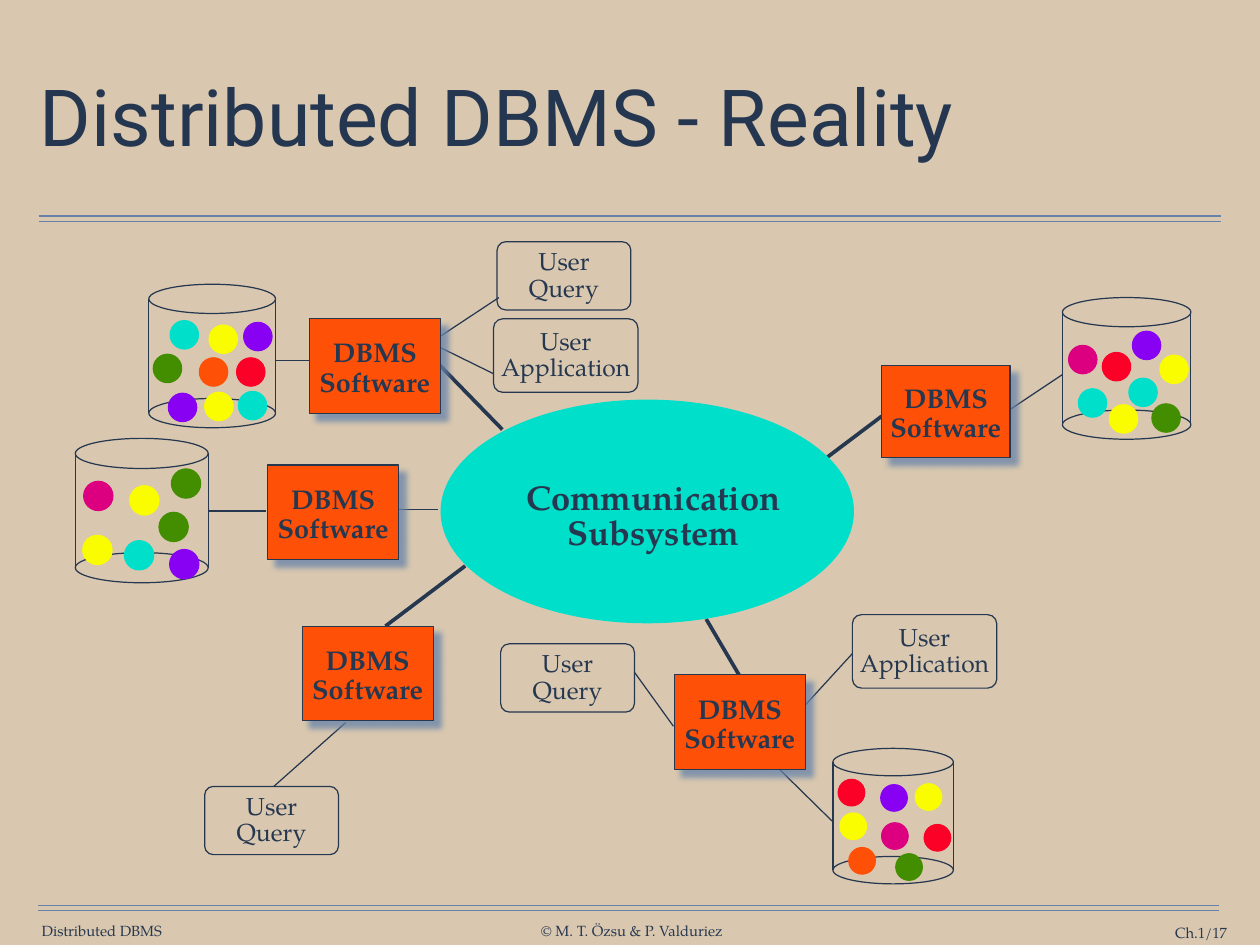
from dataclasses import dataclass

from lxml.etree import SubElement
from pptx import Presentation
from pptx.dml.color import RGBColor as RGB
from pptx.enum.shapes import MSO_CONNECTOR as CONN, MSO_SHAPE as SHAPE
from pptx.enum.text import MSO_ANCHOR as ANCHOR, PP_ALIGN as ALIGN
from pptx.oxml.ns import qn
from pptx.util import Inches, Pt


@dataclass(frozen=True)
class Theme:
    """Colours, fonts and type sizes of the slide."""
    paper: str = "D9C8AF"
    ink: str = "263750"
    title: str = "253750"
    rule: str = "6682AA"
    teal: str = "00DFCA"
    orange: str = "FF5008"
    yellow: str = "FAFD00"
    green: str = "438E00"
    pink: str = "DC0081"
    purple: str = "8901F3"
    red: str = "FC0128"
    head_font: str = "Roboto"
    body_font: str = "TeX Gyre Pagella"
    title_size: int = 64
    hub_size: int = 28
    dbms_size: int = 22
    user_size: int = 20
    foot_size: int = 12


def write(tf, text, *, size, color, font, bold=False, align=ALIGN.CENTER,
          spacing=0.9, anchor=ANCHOR.MIDDLE, wrap=False, insets=(0, 0, 0, 0)):
    """Fill a text frame, one paragraph for each line of text."""
    tf.word_wrap = wrap
    tf.vertical_anchor = anchor
    tf.margin_left, tf.margin_top, tf.margin_right, tf.margin_bottom = map(Inches, insets)
    for i, line in enumerate(text.split("\n")):
        p = tf.add_paragraph() if i else tf.paragraphs[0]
        p.alignment = align
        p.line_spacing = spacing
        r = p.add_run()
        r.text = line
        r.font.size = Pt(size)
        r.font.name = font
        r.font.bold = bold
        r.font.color.rgb = RGB.from_string(color)


class Canvas:
    """Draws on one slide, placing things on a grid of 1422 columns by 1067 rows."""
    COLS, ROWS = 1422, 1067

    def __init__(self, prs, theme):
        """Add a title-only slide with the theme's background."""
        self.t = theme
        self.col = prs.slide_width / self.COLS
        self.row = prs.slide_height / self.ROWS
        self.s = prs.slides.add_slide(prs.slide_layouts[5])
        fill = self.s.background.fill
        fill.solid()
        fill.fore_color.rgb = RGB.from_string(theme.paper)

    def at(self, *lengths):
        """Turn alternating columns and rows into slide lengths."""
        return [round(n * (self.row if i % 2 else self.col)) for i, n in enumerate(lengths)]

    def title(self, text, box):
        """Move and format the title placeholder."""
        sp = self.s.shapes.title
        sp.left, sp.top, sp.width, sp.height = self.at(*box)
        write(sp.text_frame, text, size=self.t.title_size, color=self.t.title,
              font=self.t.head_font, align=ALIGN.LEFT, wrap=True, insets=(0.06,) * 4)

    def line(self, x1, y1, x2, y2, color=None, width=1):
        """Draw a straight line."""
        c = self.s.shapes.add_connector(CONN.STRAIGHT, *self.at(x1, y1, x2, y2))
        c.line.color.rgb = RGB.from_string(color or self.t.ink)
        c.line.width = Pt(width)
        SubElement(c._element.spPr, qn("a:effectLst"))

    def double_rule(self, x, y, w):
        """Draw two thin rules close together."""
        for dy in (0, 6):
            self.line(x, y + dy, x + w, y + dy, self.t.rule)

    def shape(self, kind, box, fill=None, line=None, width=1):
        """Add a preset shape without a shadow."""
        sp = self.s.shapes.add_shape(kind, *self.at(*box))
        sp.shadow.inherit = False
        if fill:
            sp.fill.solid()
            sp.fill.fore_color.rgb = RGB.from_string(fill)
        else:
            sp.fill.background()
        sp.line.color.rgb = RGB.from_string(line or self.t.ink)
        sp.line.width = Pt(width)
        return sp

    def footer(self, text, box, align):
        """Add a small footer text."""
        sp = self.s.shapes.add_textbox(*self.at(*box))
        write(sp.text_frame, text, size=self.t.foot_size, color=self.t.ink,
              font=self.t.body_font, align=align, spacing=1)

    def hub(self, text, box):
        """Draw the central ellipse."""
        sp = self.shape(SHAPE.OVAL, box, self.t.teal, self.t.teal, 4)
        write(sp.text_frame, text, size=self.t.hub_size, color=self.t.ink, bold=True,
              font=self.t.body_font, spacing=0.85, insets=(0.14, 0.13, 0, 0))

    def dbms(self, x, y, w=148, h=107):
        """Draw a DBMS box with a soft shadow."""
        sp = self.shape(SHAPE.RECTANGLE, (x, y, w, h), self.t.orange)
        effects = sp._element.spPr.find(qn("a:effectLst"))
        shadow = SubElement(effects, qn("a:outerShdw"), blurRad=str(Pt(5)),
                            dist=str(Pt(8.5)), dir="2700000", algn="ctr", rotWithShape="0")
        color = SubElement(shadow, qn("a:srgbClr"), val=self.t.rule)
        SubElement(color, qn("a:alpha"), val="75000")
        write(sp.text_frame, "DBMS\nSoftware", size=self.t.dbms_size, color=self.t.ink,
              font=self.t.body_font, bold=True, insets=(0, 0.06, 0, 0))

    def user(self, role, x, y):
        """Draw a rounded user box sized for its role."""
        size = (163, 83) if role == "Application" else (151, 77)
        sp = self.shape(SHAPE.ROUNDED_RECTANGLE, (x, y, *size))
        sp.adjustments[0] = 0.125
        write(sp.text_frame, f"User\n{role}", size=self.t.user_size, color=self.t.ink,
              font=self.t.body_font)

    def database(self, box, rim, dots):
        """Draw an open cylinder and the data dots centred inside it."""
        x, y, w, h = box
        for top in (y, y + h - rim):
            self.shape(SHAPE.OVAL, (x, top, w, rim))
        for side in (x, x + w):
            self.line(side, y + rim / 2, side, y + h - rim / 2)
        d = rim - 1
        for color, centres in dots.items():
            for cx, cy in centres:
                self.shape(SHAPE.OVAL, (x + cx - d / 2, y + cy - d / 2, d, d), color, color)


def main():
    """Build the slide and save it."""
    prs = Presentation()
    prs.slide_width, prs.slide_height = Inches(14.22), Inches(10.67)
    t = Theme()
    c = Canvas(prs, t)

    c.double_rule(44, 244, 1334)
    c.double_rule(43, 1022, 1333)
    c.footer("Distributed DBMS", (47, 1041, 138, 20), ALIGN.LEFT)
    c.footer("© M. T. Özsu & P. Valduriez", (609, 1041, 208, 20), ALIGN.CENTER)
    c.footer("Ch.1/17", (1231, 1043, 154, 20), ALIGN.RIGHT)
    c.title("Distributed DBMS - Reality", (39, 49, 1344, 176))

    trunks = [(491, 407, 567, 485), (934, 516, 995, 470),
              (797, 699, 837, 767), (435, 707, 525, 639)]
    for ends in trunks:
        c.line(*ends, width=3)
    c.hub("Communication\nSubsystem", (500, 454, 461, 247))

    links = [(494, 575, 446, 575), (300, 577, 235, 577), (312, 407, 349, 407),
             (496, 392, 557, 422), (498, 379, 563, 336), (877, 866, 939, 927),
             (962, 738, 908, 797), (716, 759, 760, 820), (390, 816, 309, 888),
             (1136, 465, 1199, 423)]
    for ends in links:
        c.line(*ends)

    c.database((85, 495, 150, 163), 34, {
        t.yellow: [(78, 70), (25, 126)], t.green: [(111, 100), (125, 51)],
        t.teal: [(72, 132)], t.pink: [(26, 65)], t.purple: [(123, 142)]})
    c.database((168, 321, 143, 162), 33, {
        t.yellow: [(79, 138), (84, 62)], t.green: [(21, 95)],
        t.teal: [(117, 137), (40, 57)], t.red: [(115, 99)],
        t.purple: [(123, 59), (38, 139)], t.orange: [(73, 99)]})
    c.database((940, 845, 136, 153), 31, {
        t.purple: [(69, 56)], t.green: [(86, 134)], t.red: [(21, 50), (118, 101)],
        t.pink: [(70, 99)], t.orange: [(33, 127)], t.yellow: [(108, 55), (23, 88)]})
    c.database((1199, 336, 145, 160), 33, {
        t.yellow: [(69, 137), (126, 81)], t.green: [(117, 136)],
        t.teal: [(34, 119), (91, 107)], t.red: [(61, 78)],
        t.pink: [(23, 70)], t.purple: [(95, 54)]})

    for x, y in [(349, 360), (302, 525), (341, 707), (761, 762)]:
        c.dbms(x, y)
    c.dbms(995, 413, 145, 104)

    for role, x, y in [("Query", 561, 273), ("Application", 557, 360), ("Query", 565, 727),
                       ("Application", 962, 694), ("Query", 231, 888)]:
        c.user(role, x, y)

    prs.save("out.pptx")


if __name__ == "__main__":
    main()
